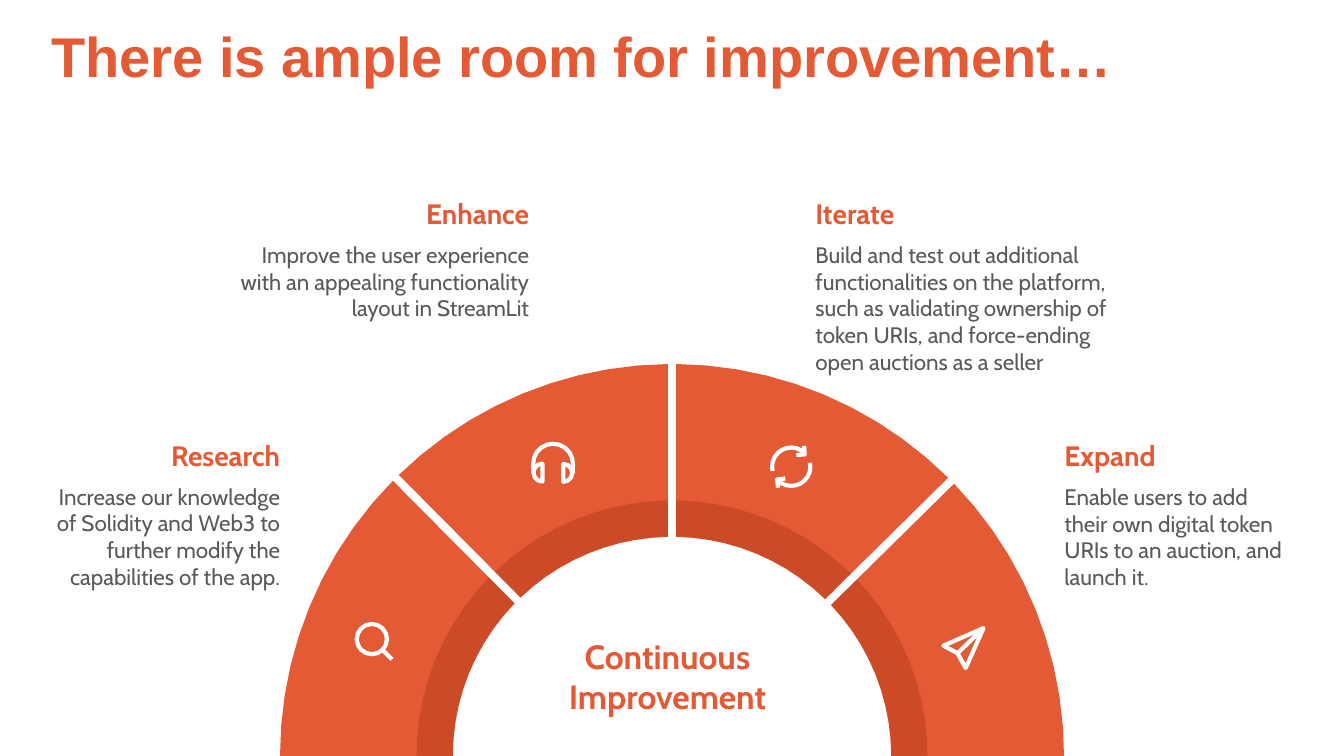
from math import asin, cos, degrees, radians, sin

from lxml.etree import SubElement
from pptx import Presentation
from pptx.dml.color import RGBColor
from pptx.enum.text import MSO_ANCHOR, MSO_AUTO_SIZE, PP_ALIGN
from pptx.oxml.ns import qn
from pptx.util import Pt

ORANGE, SHADE, GREY, WHITE = "E35A35", "B83B1A", "595959", "FFFFFF"
TITLE = "There is ample room for improvement…"
HUB = "Continuous Improvement"

# Half ring, in points and degrees
CENTRE = (480, 540)
OUTER, SHADE_EDGE, INNER = 280, 182.5, 156.6
HALF_GAP = 3
HEADING_HEIGHT = 31.7


def arc(centre, radius, start, end, steps=10):
    """Points along an arc; angles run counter-clockwise from the right."""
    angles = [radians(start + (end - start) * i / steps) for i in range(steps + 1)]
    return [(centre[0] + radius * cos(a), centre[1] - radius * sin(a)) for a in angles]


# Icons: each outline is a list of (points, closed) strokes
MAGNIFIER = [[(arc((265.6, 456.5), 10.8, 0, 360, 16), True),
              ([(273.2, 464.2), (280, 471)], False)]]
HEADPHONES = [[([(381.1, 338), *arc((395.1, 331.2), 14.2, 180, 0), (409.2, 338)], False),
               (arc((387.5, 337.6), 6.4, 90, 270, 6), True),
               (arc((402.4, 337.8), 6.4, 90, -90, 6), True)]]
PLANE = [[([(702.6, 448.6), (673.9, 461.2), (684, 466.6), (689.8, 477.2)], True),
          ([(684, 466.6), (702.2, 449)], False)]]
CYCLE = [[(arc((565.2, 333.4), 13.7, 193, 45), False),
          ([(574.4, 318.5), (574.8, 324.6), (568.8, 325)], False)],
         [(arc((565.2, 333.4), 13.7, 12, -135), False),
          ([(555.8, 348.4), (555.2, 342.5), (561, 341.8)], False)]]

# heading, body, (left, top, width, body height), alignment, (from, to), icon
STEPS = [
    ("Research", "Increase our knowledge of Solidity and Web3 to further modify the "
     "capabilities of the app.",
     (37.4, 309.6, 162.7, 104.7), PP_ALIGN.RIGHT, (180, 134.8), MAGNIFIER),
    ("Enhance", "Improve the user experience with an appealing functionality layout "
     "in StreamLit",
     (157, 136.8, 221, 65.5), PP_ALIGN.RIGHT, (134.8, 90), HEADPHONES),
    ("Expand", "Enable users to add their own digital token URIs to an auction, and "
     "launch it.",
     (760.3, 309.6, 162.7, 85), PP_ALIGN.LEFT, (44.6, 0), PLANE),
    ("Iterate", "Build and test out additional functionalities on the platform, such "
     "as validating ownership of token URIs, and force-ending open auctions as a seller",
     (582.5, 136.8, 221, 104.7), PP_ALIGN.LEFT, (90, 44.6), CYCLE),
]


def color(value):
    return RGBColor.from_string(value)


def write(frame, text, font, size, tint, bold, align, anchor):
    frame.word_wrap = True
    frame.auto_size = MSO_AUTO_SIZE.SHAPE_TO_FIT_TEXT
    frame.vertical_anchor = anchor
    paragraph = frame.paragraphs[0]
    paragraph.alignment = align
    run = paragraph.add_run()
    run.text = text
    run.font.name, run.font.size, run.font.bold = font, Pt(size), bold
    run.font.color.rgb = color(tint)


def add_label(shapes, box, text, size, tint, bold, align, anchor, side_inset=0):
    frame = shapes.add_textbox(*map(Pt, box)).text_frame
    frame.margin_left = frame.margin_right = Pt(side_inset)
    write(frame, text, "Cabin", size, tint, bold, align, anchor)


def add_outline(shapes, strokes):
    scaled = [([(Pt(x), Pt(y)) for x, y in points], closed) for points, closed in strokes]
    builder = shapes.build_freeform(*scaled[0][0][0], scale=1.0)
    for number, (points, closed) in enumerate(scaled):
        if number:
            builder.move_to(*points[0])
        builder.add_line_segments(points[1:], close=closed)
    shape = builder.convert_to_shape()
    shape.shadow.inherit = False
    return shape


def add_band(shapes, span, outer, tint, opacity=None):
    """Part of the half ring, with parallel gaps except at the base line."""
    def edge(radius):
        gap = degrees(asin(HALF_GAP / radius))
        start = span[0] - (gap if span[0] < 180 else 0)
        end = span[1] + (gap if span[1] > 0 else 0)
        return arc(CENTRE, radius, start, end)

    band = add_outline(shapes, [(edge(outer) + edge(INNER)[::-1], True)])
    band.fill.solid()
    band.fill.fore_color.rgb = color(tint)
    band.line.fill.background()
    if opacity:
        tint_xml = band.element.spPr.find(qn("a:solidFill")).find(qn("a:srgbClr"))
        SubElement(tint_xml, qn("a:alpha")).set("val", str(opacity * 1000))


def add_icon(shapes, outlines):
    for strokes in outlines:
        icon = add_outline(shapes, strokes)
        icon.fill.background()
        icon.line.color.rgb = color(WHITE)
        icon.line.width = Pt(3)
        SubElement(icon.element.spPr.find(qn("a:ln")), qn("a:round"))


def main():
    deck = Presentation()
    deck.slide_width, deck.slide_height = Pt(960), Pt(540)
    slide = deck.slides.add_slide(deck.slide_layouts[5])

    # Title
    title = slide.shapes.title
    title.left, title.top, title.width, title.height = map(Pt, (29.5, 11.5, 773.3, 55.4))
    write(title.text_frame, TITLE, "Arial", 40, "E45A34", True,
          PP_ALIGN.LEFT, MSO_ANCHOR.TOP)
    title.text_frame.word_wrap = False

    # Text inside the ring
    add_label(slide.shapes, (369.4, 450, 214.6, 65.5), HUB, 24, ORANGE, True,
              PP_ALIGN.CENTER, MSO_ANCHOR.MIDDLE, 7.2)

    # One group for each step: ring part, texts and icon
    for heading, body, (left, top, width, height), align, span, icon in STEPS:
        shapes = slide.shapes.add_group_shape().shapes
        add_band(shapes, span, OUTER, ORANGE)
        add_band(shapes, span, SHADE_EDGE, SHADE, opacity=50)
        add_label(shapes, (left, top + HEADING_HEIGHT, width, height), body,
                  16, GREY, False, align, MSO_ANCHOR.TOP)
        add_label(shapes, (left, top, width, HEADING_HEIGHT), heading,
                  20, ORANGE, True, align, MSO_ANCHOR.MIDDLE)
        add_icon(shapes, icon)

    deck.save("out.pptx")


if __name__ == "__main__":
    main()
